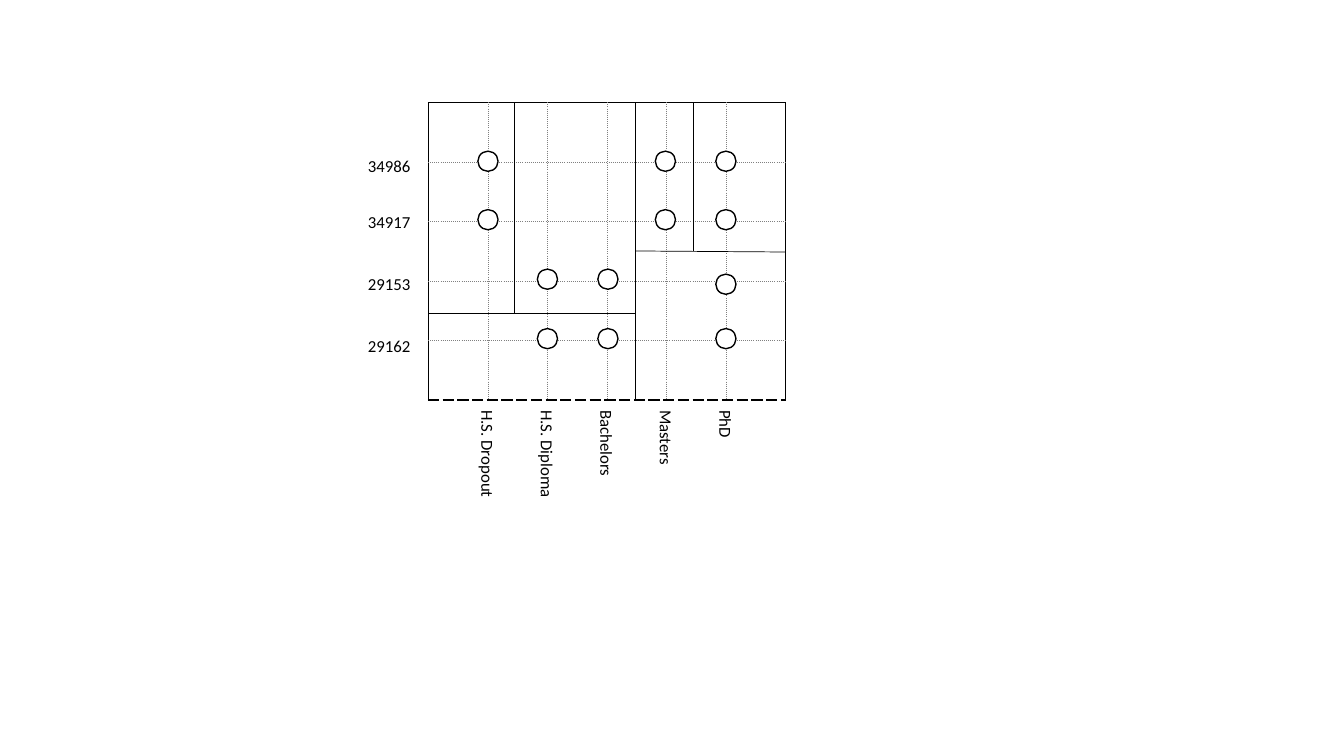
from lxml import etree
from pptx import Presentation
from pptx.dml.color import RGBColor as Rgb
from pptx.enum.shapes import MSO_CONNECTOR as Connector, MSO_SHAPE as Preset
from pptx.enum.text import MSO_AUTO_SIZE as AutoSize
from pptx.oxml.ns import qn
from pptx.util import Inches, Pt

COLORS = {"ink": "000000", "grid": "808080", "paper": "FFFFFF"}
LEFT, TOP, STEP = 4.25, 1.02, 0.59
COLUMNS, ROWS = 6, 5
RIGHT, BOTTOM = LEFT + COLUMNS * STEP, TOP + ROWS * STEP

GRID_LINE = ("grid", 0.5, "sysDot")
FRAME_LINE = ("ink", 1, "solid")
OPEN_LINE = ("ink", 1, "sysDash")


def add_border(cell, side, color, width, dash):
    """Draw one side (L, R, T or B) of a table cell."""
    line = etree.SubElement(cell._tc.get_or_add_tcPr(), qn(f"a:ln{side}"), w=str(Pt(width)))
    fill = etree.SubElement(line, qn("a:solidFill"))
    etree.SubElement(fill, qn("a:srgbClr"), val=COLORS[color])
    etree.SubElement(line, qn("a:prstDash"), val=dash)


def add_label(text, left, top, width, rotation=0):
    box = page.shapes.add_textbox(Inches(left), Inches(top), Inches(width), Inches(LABEL_HEIGHT))
    box.rotation = rotation
    box.text_frame.word_wrap = True
    box.text_frame.auto_size = AutoSize.SHAPE_TO_FIT_TEXT
    span = box.text_frame.paragraphs[0].add_run()
    span.text = text
    for name, value in {"name": "Calibri", "size": Pt(12)}.items():
        setattr(span.font, name, value)
    span.font.color.rgb = Rgb.from_string(COLORS["ink"])


deck = Presentation()
deck.slide_width, deck.slide_height = Inches(13.33), Inches(7.5)
page = deck.slides.add_slide(deck.slide_layouts[6])

# Grid
grid = page.shapes.add_table(
    ROWS, COLUMNS, Inches(LEFT), Inches(TOP), Inches(COLUMNS * STEP), Inches(ROWS * STEP)
).table
grid.first_row = grid.horz_banding = False
for column in grid.columns:
    column.width = Inches(STEP)
for row in grid.rows:
    row.height = Inches(STEP)
for row in range(ROWS):
    for column in range(COLUMNS):
        cell = grid.cell(row, column)
        borders = {
            "L": FRAME_LINE if column == 0 else GRID_LINE,
            "R": FRAME_LINE if column == COLUMNS - 1 else GRID_LINE,
            "T": FRAME_LINE if row == 0 else GRID_LINE,
            "B": OPEN_LINE if row == ROWS - 1 else GRID_LINE,
        }
        for side, style in borders.items():
            add_border(cell, side, *style)
        cell.fill.background()

# Data points: column centre and the heights of its circles
CIRCLE = 0.2
POINTS = [
    (4.84, [1.6, 2.18]),
    (5.43, [2.77, 3.36]),
    (6.03, [2.77, 3.36]),
    (6.6, [1.6, 2.18]),
    (7.2, [1.6, 2.18, 2.82, 3.36]),
]
for x, heights in POINTS:
    for y in heights:
        point = page.shapes.add_shape(
            Preset.OVAL, Inches(x - CIRCLE / 2), Inches(y - CIRCLE / 2), Inches(CIRCLE), Inches(CIRCLE)
        )
        point.shadow.inherit = False
        point.fill.solid()
        point.fill.fore_color.rgb = Rgb.from_string(COLORS["paper"])
        point.line.color.rgb = Rgb.from_string(COLORS["ink"])
        point.line.width = Pt(1)

# Education labels, turned to read downwards from the grid's lower edge
LABEL_HEIGHT = 0.3
EDUCATION = [("H.S. Dropout", 1.81), ("H.S. Diploma", 1.83), ("Bachelors", 1.5), ("Masters", 1.5), ("PhD", 1.37)]
for index, (name, length) in enumerate(EDUCATION, start=1):
    center_x, center_y = LEFT + index * STEP, BOTTOM + length / 2
    add_label(name, center_x - length / 2, center_y - LABEL_HEIGHT / 2, length, rotation=90)

# Postcode labels
for postcode, top in [("34986", 1.5), ("34917", 2.05), ("29153", 2.67), ("29162", 3.28)]:
    add_label(postcode, 3.55, top, 0.67)

# Partition lines
MIDDLE, LOWER_CUT, UPPER_CUT = 6.3, 3.11, 2.49
CUTS = [
    (MIDDLE, TOP, MIDDLE, BOTTOM),
    (LEFT, LOWER_CUT, MIDDLE, LOWER_CUT),
    (MIDDLE, UPPER_CUT, RIGHT, UPPER_CUT + 0.01),
    (5.1, TOP, 5.1, LOWER_CUT),
    (6.88, TOP, 6.88, UPPER_CUT),
]
for ends in CUTS:
    cut = page.shapes.add_connector(Connector.STRAIGHT, *map(Inches, ends))
    cut.line.color.rgb = Rgb.from_string(COLORS["ink"])
    cut.line.width = Pt(0.5)
    etree.SubElement(cut._element.spPr, qn("a:effectLst"))

deck.save("out.pptx")
